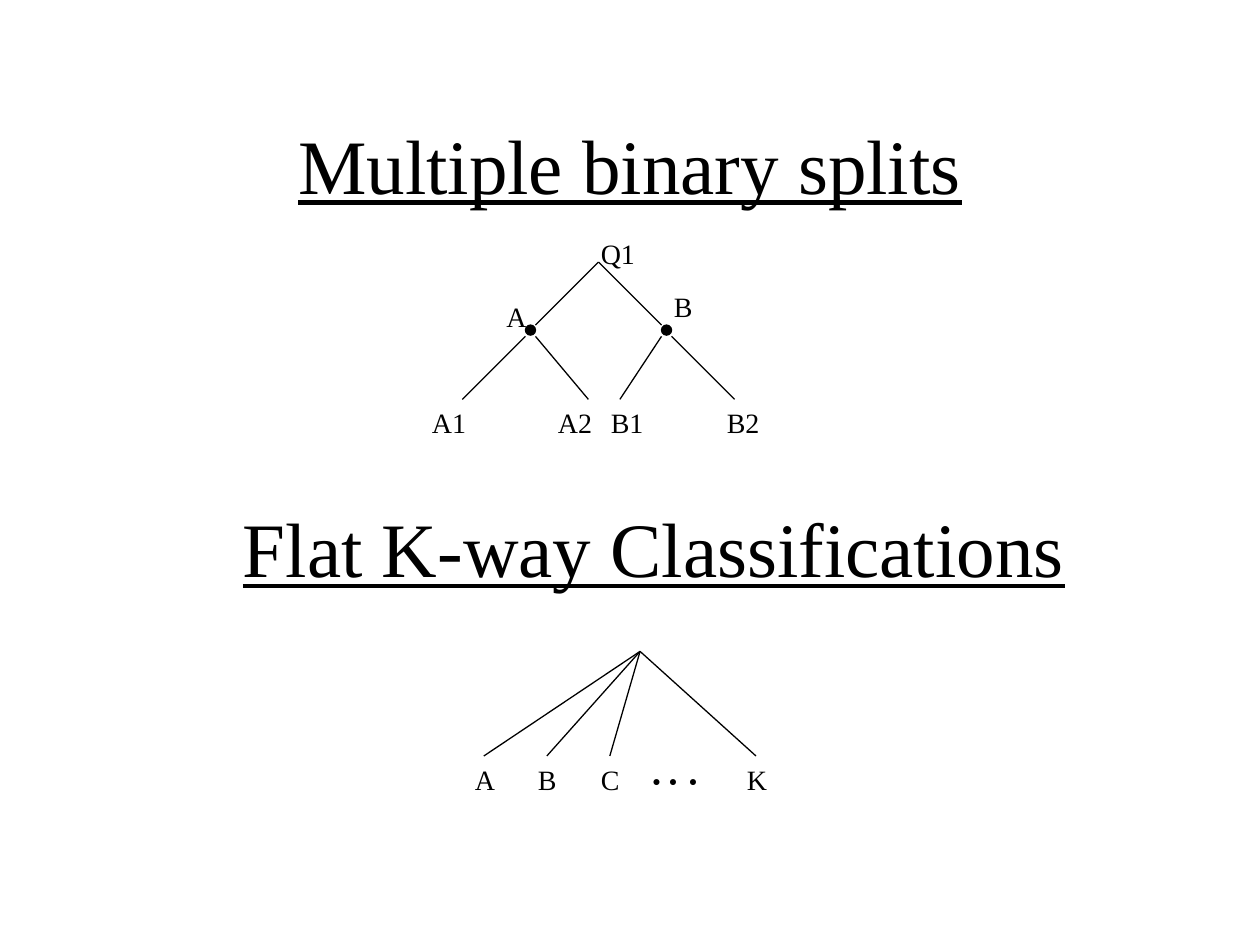
from pptx import Presentation
from pptx.dml.color import RGBColor
from pptx.enum.shapes import MSO_CONNECTOR, MSO_SHAPE
from pptx.enum.text import MSO_ANCHOR, PP_ALIGN
from pptx.oxml.ns import qn
from pptx.util import Inches, Pt
from lxml import etree

BLACK = RGBColor(0, 0, 0)
LINE = MSO_CONNECTOR.STRAIGHT
NODE = MSO_SHAPE.FLOWCHART_CONNECTOR
MIDDLE = MSO_ANCHOR.MIDDLE
CENTER = PP_ALIGN.CENTER
SERIF = "Times New Roman"
SANS = "Arial"
LEAF_Y = 3.17
CLASS_Y = 6


def add_text(slide, text, left, top, width=0.5, height=0.37, size=16, face=SERIF, stops=()):
    """Add a text box, with tab stops if given, and return its shape."""
    box = slide.shapes.add_textbox(Inches(left), Inches(top), Inches(width), Inches(height))
    box.text_frame.word_wrap = True
    para = box.text_frame.paragraphs[0]
    para.text = text
    if stops:
        tabs = etree.SubElement(para._p.get_or_add_pPr(), qn("a:tabLst"))
        for stop in stops:
            etree.SubElement(tabs, qn("a:tab"), pos=str(Inches(stop)), algn="l")
    para.font.name = face
    para.font.size = Pt(size)
    para.font.color.rgb = BLACK
    return box


def add_title(slide, text, left, top, width, height):
    """Add a large, centred and underlined heading."""
    frame = add_text(slide, text, left, top, width, height, size=44).text_frame
    frame.word_wrap = False
    frame.vertical_anchor = MIDDLE
    para = frame.paragraphs[0]
    para.alignment = CENTER
    para.font.underline = True


def add_edge(slide, start, end):
    """Add a thin straight line between two points."""
    x1, y1, x2, y2 = (Inches(value) for value in (*start, *end))
    edge = slide.shapes.add_connector(LINE, x1, y1, x2, y2)
    edge.line.color.rgb = BLACK
    edge.line.width = Pt(0.75)
    etree.SubElement(edge._element.spPr, qn("a:effectLst"))


def add_node(slide, left, top):
    """Add a small filled tree node."""
    node = slide.shapes.add_shape(NODE, Inches(left), Inches(top), Inches(0.08), Inches(0.08))
    node.shadow.inherit = False
    node.fill.solid()
    node.fill.fore_color.rgb = BLACK
    node.line.color.rgb = BLACK
    node.line.width = Pt(0.75)


def add_splits(slide):
    """Draw the tree of binary splits."""
    root = (4.75, 2.08)
    for left, inner, leaves in ((4.17, 4.25, (3.67, 4.67)), (5.25, 5.25, (4.92, 5.83))):
        add_edge(slide, root, (inner, 2.58))
        add_node(slide, left, 2.58)
        for start, leaf in zip((left, left + 0.08), leaves):
            add_edge(slide, (start, 2.67), (leaf, LEAF_Y))
    for text, left, top in (("Q1", 4.67, 1.83), ("A", 3.92, 2.33), ("B", 5.25, 2.25)):
        add_text(slide, text, left, top)
    for text, left in (("A1", 3.33), ("A2", 4.33), ("B1", 4.75), ("B2", 5.67)):
        add_text(slide, text, left, LEAF_Y)


def add_classes(slide):
    """Draw the flat fan of K classes."""
    root = (5.08, 5.17)
    for text, left in (("A", 3.67), ("B", 4.17), ("C", 4.67), ("K", 5.83)):
        add_edge(slide, root, (left + 0.17, CLASS_Y))
        add_text(slide, text, left, CLASS_Y)
    add_text(slide, "●\t●\t●", 5.08, 6.08, width=0.67, size=8, face=SANS, stops=(0.13, 0.29))


def main():
    """Build and save the slide."""
    deck = Presentation()
    deck.slide_width, deck.slide_height = Inches(10), Inches(7.5)
    slide = deck.slides.add_slide(deck.slide_layouts[6])
    add_title(slide, "Multiple binary splits", 0.75, 0.67, 8.5, 1.25)
    add_splits(slide)
    add_title(slide, "Flat K-way Classifications", 1.83, 3.92, 6.72, 0.84)
    add_classes(slide)
    deck.save("out.pptx")


if __name__ == "__main__":
    main()
